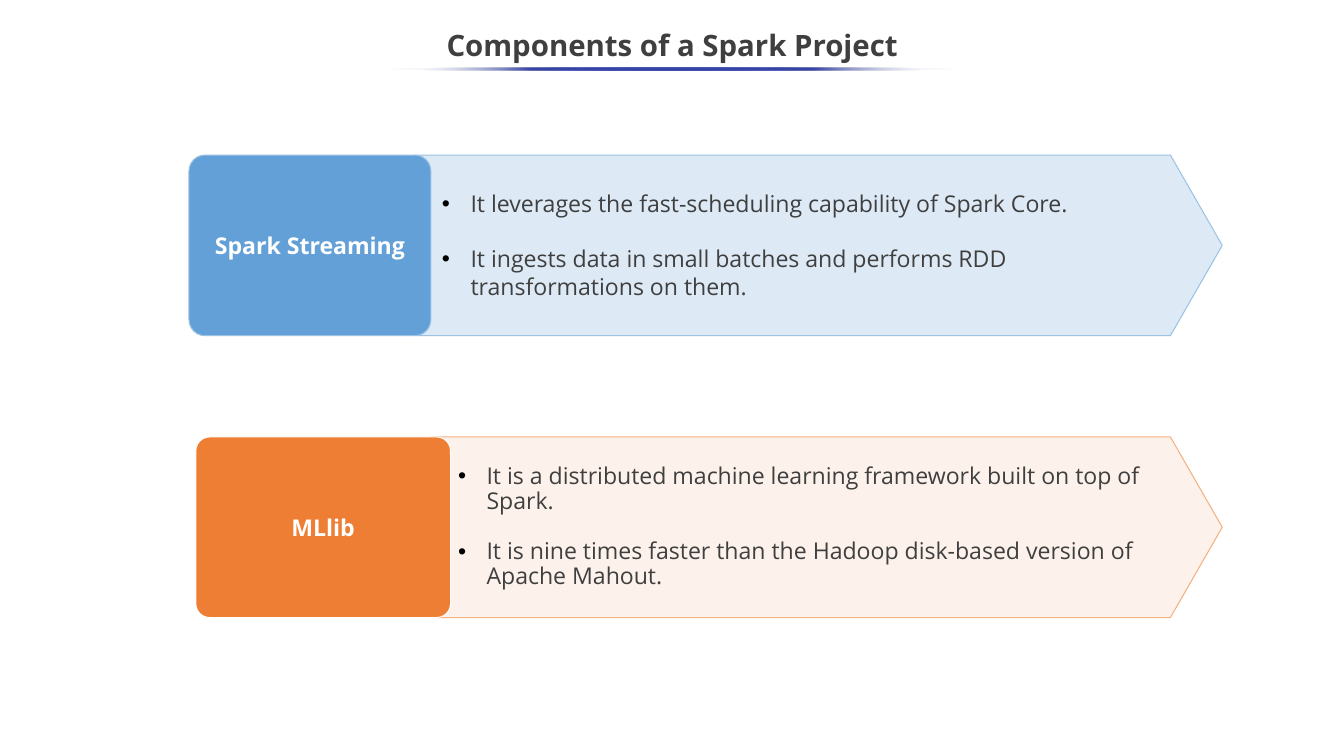
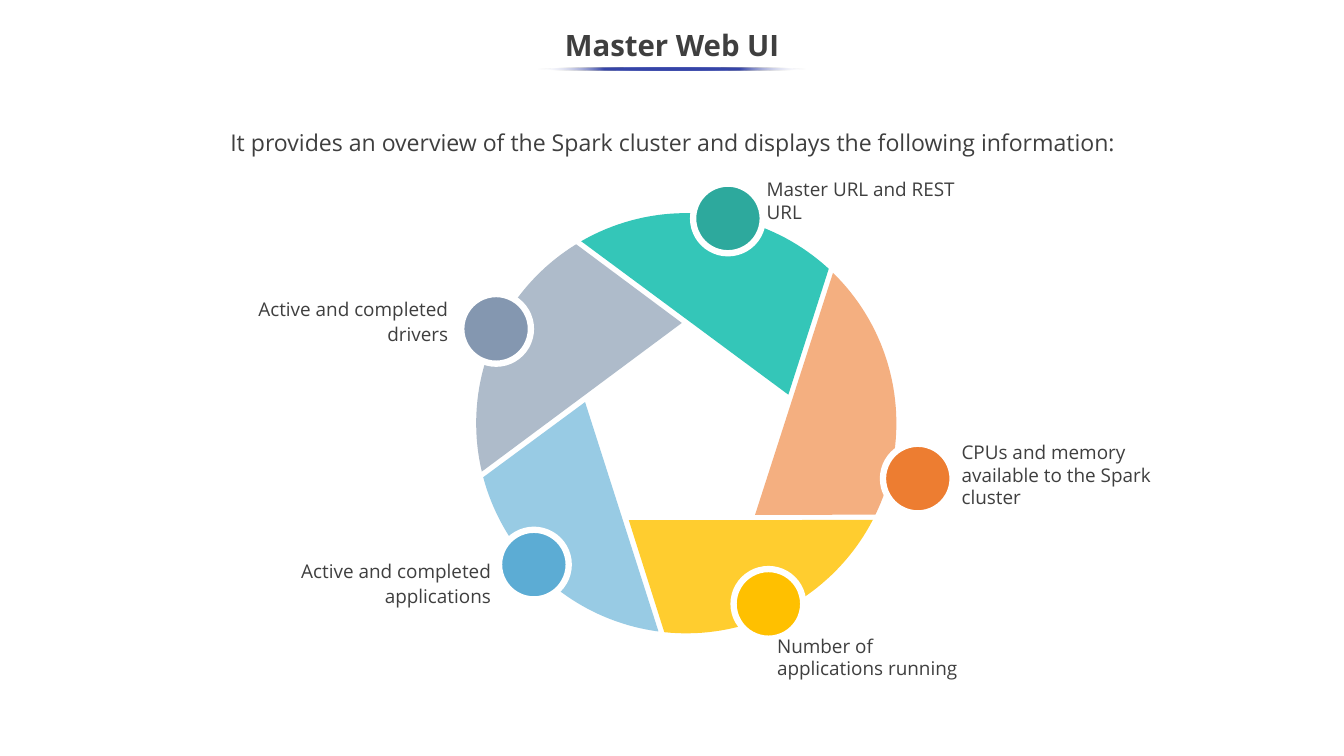
from dataclasses import dataclass
from math import cos, radians, sin

from lxml import etree
from pptx import Presentation
from pptx.dml.color import RGBColor
from pptx.enum.shapes import MSO_SHAPE
from pptx.enum.text import MSO_ANCHOR, MSO_AUTO_SIZE, PP_ALIGN
from pptx.oxml.ns import qn
from pptx.util import Cm, Pt

LEFT, CENTER, RIGHT = PP_ALIGN.LEFT, PP_ALIGN.CENTER, PP_ALIGN.RIGHT
TOP, MIDDLE = MSO_ANCHOR.TOP, MSO_ANCHOR.MIDDLE
NO_AUTOFIT = MSO_AUTO_SIZE.NONE
ELLIPSE, ARROW, ROUNDED = MSO_SHAPE.OVAL, MSO_SHAPE.PENTAGON, MSO_SHAPE.ROUNDED_RECTANGLE

TWO_CONTENT, TITLE_ONLY = 3, 5
SLIDE_WIDTH, SLIDE_HEIGHT = 45.16, 25.4
BAND_HEIGHT, BAND_RIGHT = 6.07, 41.07
WHEEL_X, WHEEL_Y, WHEEL_RADIUS = 23.06, 14.22, 7.06
SEAM_HALF_ANGLE, ARC_STEPS = 0.8, 40
KNOB_SIZE = 2.34


@dataclass(frozen=True)
class Theme:
    font: str = "Open Sans"
    text: str = "3F3F3F"
    white: str = "FFFFFF"
    bullet: str = "000000"
    underline: str = "3645A9"
    title_size: int = 28
    body_size: int = 22
    label_size: int = 18


THEME = Theme()


@dataclass(frozen=True)
class Band:
    name: str
    points: tuple
    top: float
    box_left: float
    box_width: float
    arrow_left: float
    list_frame: tuple
    box_fill: str
    box_line: str
    corner: float
    arrow_fill: str
    arrow_line: str
    opacity: int
    line_spacing: float
    gap: int


@dataclass(frozen=True)
class Sector:
    label: str
    label_frame: tuple
    align: PP_ALIGN
    line_spacing: float
    inner_corner: tuple
    start_seam: float
    knob_center: tuple
    fill: str
    knob_fill: str


BANDS = (
    Band("Spark Streaming",
         ("It leverages the fast-scheduling capability of Spark Core.",
          "It ingests data in small batches and performs RDD transformations on them."),
         5.21, 6.35, 8.13, 13.94, (14.6, 6.22, 25.02, 4.01),
         "63A0D7", "9CC2E5", 0.089, "DDEAF6", "9CC2E5", 100, 1.0, 26),
    Band("MLlib",
         ("It is a distributed machine learning framework built on top of Spark.",
          "It is nine times faster than the Hadoop disk-based version of Apache Mahout."),
         14.68, 6.58, 8.56, 14.48, (15.14, 15.47, 24.13, 4.5),
         "ED7E33", "FFFFFF", 0.077, "F7CAAC", "F4B081", 24, 0.9, 24),
)

SECTORS = (
    Sector("Master URL and REST URL", (25.35, 5.77, 7.65, 1.96), LEFT, 1.0,
           (26.49, 13.26), 239.2, (24.46, 7.34), "34C6B8", "2DA99D"),
    Sector("CPUs and memory available to the Spark cluster", (31.9, 14.6, 7.65, 2.72), LEFT, 1.0,
           (25.37, 17.3), 313.5, (30.84, 16.08), "F4AF80", "ED7D31"),
    Sector("Number of applications running", (25.7, 21.11, 7.04, 1.96), LEFT, 1.0,
           (21.13, 17.48), 386.6, (25.82, 20.29), "FFCD2F", "FFC000"),
    Sector("Active and completed applications", (8.59, 18.52, 8.32, 2.06), RIGHT, 1.1,
           (19.66, 13.51), 456.8, (17.94, 18.97), "98CBE4", "5CACD4"),
    Sector("Active and completed drivers", (7.15, 9.72, 8.32, 2.06), RIGHT, 1.1,
           (22.91, 10.85), 525.9, (16.67, 11.05), "AEBBCA", "8497B0"),
)


def rgb(color):
    return RGBColor.from_string(color)


def paint(shape, fill, line=None, width=1):
    shape.shadow.inherit = False
    shape.fill.solid()
    shape.fill.fore_color.rgb = rgb(fill)
    if line:
        shape.line.color.rgb = rgb(line)
        shape.line.width = Pt(width)
    else:
        shape.line.fill.background()


def set_opacity(shape, percent):
    color = shape.element.spPr.find(qn("a:solidFill"))[0]
    etree.SubElement(color, qn("a:alpha"), val=str(percent * 1000))


def place(shape, frame):
    shape.left, shape.top, shape.width, shape.height = map(Cm, frame)


def prepare_frame(frame, anchor, margin_x=0.25, margin_y=0.13):
    frame.word_wrap = True
    frame.auto_size = NO_AUTOFIT
    frame.vertical_anchor = anchor
    frame.margin_left = frame.margin_right = Cm(margin_x)
    frame.margin_top = frame.margin_bottom = Cm(margin_y)


def write(paragraph, text, size, color=THEME.text, bold=False, align=LEFT, spacing=1.0):
    paragraph.alignment = align
    paragraph.line_spacing = spacing
    run = paragraph.add_run()
    run.text = text
    run.font.name = THEME.font
    run.font.size = Pt(size)
    run.font.bold = bold
    run.font.color.rgb = rgb(color)


def add_bullet(paragraph):
    properties = paragraph._p.get_or_add_pPr()
    properties.set("marL", str(Cm(0.96)))
    properties.set("indent", str(Cm(-0.96)))
    color = etree.SubElement(properties, qn("a:buClr"))
    etree.SubElement(color, qn("a:srgbClr"), val=THEME.bullet)
    etree.SubElement(properties, qn("a:buFont"), typeface="Arial")
    etree.SubElement(properties, qn("a:buChar"), char="•")


def add_title(slide, text, underline_width):
    title = slide.shapes.title
    place(title, (0, 0.64, SLIDE_WIDTH, 1.9))
    prepare_frame(title.text_frame, MIDDLE)
    write(title.text_frame.paragraphs[0], text, THEME.title_size, bold=True,
          align=CENTER, spacing=0.9)
    underline = slide.shapes.add_shape(
        ELLIPSE, Cm((SLIDE_WIDTH - underline_width) / 2), Cm(2.26), Cm(underline_width), Cm(0.1))
    underline.shadow.inherit = False
    underline.line.fill.background()
    fade_ends(underline)


def fade_ends(shape):
    shape.fill.gradient()
    shape.fill.gradient_angle = 0
    stops = shape.element.spPr.find(qn("a:gradFill")).find(qn("a:gsLst"))
    for stop in list(stops):
        stops.remove(stop)
    for position in range(0, 101, 25):
        at_end = position in (0, 100)
        stop = etree.SubElement(stops, qn("a:gs"), pos=str(position * 1000))
        color = etree.SubElement(stop, qn("a:srgbClr"),
                                 val=THEME.white if at_end else THEME.underline)
        if at_end:
            etree.SubElement(color, qn("a:alpha"), val="0")


def add_text(slide, text, frame, size, margins, align, spacing):
    box = slide.shapes.add_textbox(*map(Cm, frame))
    prepare_frame(box.text_frame, TOP, *margins)
    write(box.text_frame.paragraphs[0], text, size, align=align, spacing=spacing)


def add_list(placeholder, band):
    place(placeholder, band.list_frame)
    placeholder.element.getparent().append(placeholder.element)
    frame = placeholder.text_frame
    prepare_frame(frame, MIDDLE)
    for index, point in enumerate(band.points):
        paragraph = frame.add_paragraph() if index else frame.paragraphs[0]
        add_bullet(paragraph)
        paragraph.space_before = Pt(band.gap if index else 0)
        write(paragraph, point, THEME.body_size, spacing=band.line_spacing)


def add_band(slide, band, placeholder):
    arrow = slide.shapes.add_shape(ARROW, Cm(band.arrow_left), Cm(band.top),
                                   Cm(BAND_RIGHT - band.arrow_left), Cm(BAND_HEIGHT))
    arrow.adjustments[0] = 0.287
    paint(arrow, band.arrow_fill, band.arrow_line)
    if band.opacity < 100:
        set_opacity(arrow, band.opacity)
    name_box = slide.shapes.add_shape(ROUNDED, Cm(band.box_left), Cm(band.top),
                                      Cm(band.box_width), Cm(BAND_HEIGHT))
    name_box.adjustments[0] = band.corner
    paint(name_box, band.box_fill, band.box_line)
    prepare_frame(name_box.text_frame, MIDDLE)
    write(name_box.text_frame.paragraphs[0], band.name, THEME.body_size,
          THEME.white, bold=True, align=CENTER)
    add_list(placeholder, band)


def rim_point(angle):
    return (Cm(WHEEL_X + WHEEL_RADIUS * cos(radians(angle))),
            Cm(WHEEL_Y + WHEEL_RADIUS * sin(radians(angle))))


def add_blade(slide, sector, end_seam):
    start = sector.start_seam + SEAM_HALF_ANGLE
    sweep = end_seam - SEAM_HALF_ANGLE - start
    rim = [rim_point(start + sweep * step / ARC_STEPS) for step in range(ARC_STEPS + 1)]
    outline = slide.shapes.build_freeform(*map(Cm, sector.inner_corner))
    outline.add_line_segments(rim, close=True)
    paint(outline.convert_to_shape(), sector.fill)


def add_knob(slide, sector):
    left, top = (Cm(middle - KNOB_SIZE / 2) for middle in sector.knob_center)
    knob = slide.shapes.add_shape(ELLIPSE, left, top, Cm(KNOB_SIZE), Cm(KNOB_SIZE))
    paint(knob, sector.knob_fill, THEME.white, 6)


def build_components(deck):
    slide = deck.slides.add_slide(deck.slide_layouts[TWO_CONTENT])
    add_title(slide, "Components of a Spark Project", 19)
    lists = list(slide.placeholders)[1:]
    for band, placeholder in zip(BANDS, lists):
        add_band(slide, band, placeholder)


def build_web_ui(deck):
    slide = deck.slides.add_slide(deck.slide_layouts[TITLE_ONLY])
    add_title(slide, "Master Web UI", 9.02)
    add_text(slide,
             "It provides an overview of the Spark cluster and displays the following information:",
             (3.58, 4.19, 38.05, 2.51), THEME.body_size, (0.25, 0), CENTER, 1.15)
    end_seams = [sector.start_seam for sector in SECTORS[1:]] + [SECTORS[0].start_seam + 360]
    for sector, end_seam in zip(SECTORS, end_seams):
        add_blade(slide, sector, end_seam)
    for sector in SECTORS:
        add_knob(slide, sector)
        add_text(slide, sector.label, sector.label_frame, THEME.label_size,
                 (0.41, 0.2), sector.align, sector.line_spacing)


def main():
    deck = Presentation()
    deck.slide_width, deck.slide_height = Cm(SLIDE_WIDTH), Cm(SLIDE_HEIGHT)
    build_components(deck)
    build_web_ui(deck)
    deck.save("out.pptx")


if __name__ == "__main__":
    main()
